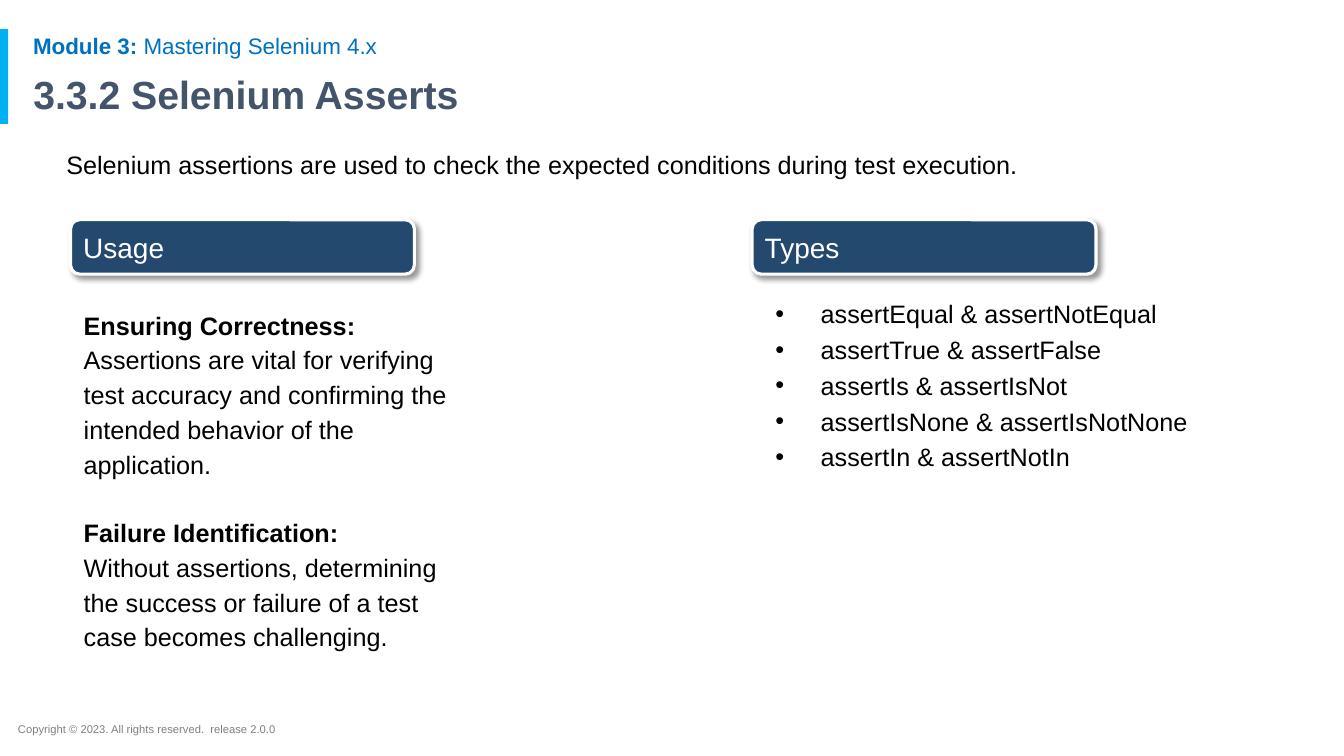
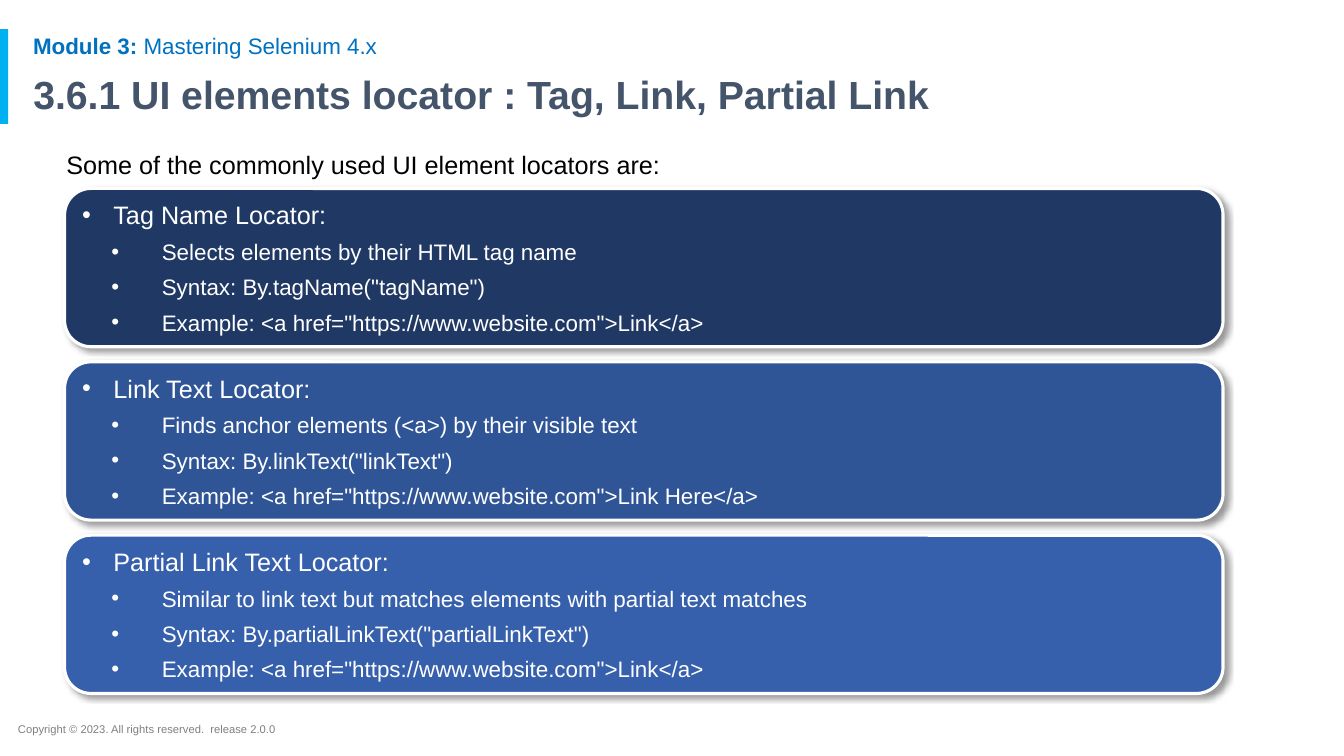
from dataclasses import dataclass

from lxml.etree import SubElement
from pptx import Presentation
from pptx.dml.color import RGBColor
from pptx.enum.shapes import MSO_SHAPE
from pptx.enum.text import MSO_ANCHOR, MSO_AUTO_SIZE, PP_ALIGN
from pptx.oxml.ns import qn
from pptx.util import Emu, Pt

EMU_PER_PX = 9144


@dataclass(frozen=True)
class Theme:
    font: str = "Arial"
    accent: str = "00B0F0"
    module: str = "0070C0"
    title: str = "44546A"
    body: str = "000000"
    footer: str = "808080"
    light: str = "FFFFFF"
    heading: str = "23496F"
    cards: tuple = ("203864", "2F5597", "3660AC")
    title_size: int = 28
    heading_size: int = 20
    body_size: int = 18
    detail_size: int = 16
    footer_size: int = 8


THEME = Theme()

USAGE = [
    ("Ensuring Correctness:",
     "Assertions are vital for verifying test accuracy and confirming the "
     "intended behavior of the application."),
    ("Failure Identification:",
     "Without assertions, determining the success or failure of a test case "
     "becomes challenging."),
]
ASSERT_TYPES = [
    "assertEqual & assertNotEqual",
    "assertTrue & assertFalse",
    "assertIs & assertIsNot",
    "assertIsNone & assertIsNotNone",
    "assertIn & assertNotIn",
]
LOCATORS = [
    ("Tag Name Locator:", [
        "Selects elements by their HTML tag name",
        'Syntax: By.tagName("tagName")',
        'Example: <a href="https://www.website.com">Link</a>',
    ]),
    ("Link Text Locator:", [
        "Finds anchor elements (<a>) by their visible text",
        'Syntax: By.linkText("linkText")',
        'Example: <a href="https://www.website.com">Link Here</a>',
    ]),
    ("Partial Link Text Locator:", [
        "Similar to link text but matches elements with partial text matches",
        'Syntax: By.partialLinkText("partialLinkText")',
        'Example: <a href="https://www.website.com">Link</a>',
    ]),
]


def px(length):
    return Emu(length * EMU_PER_PX)


def add_span(para, text, size, color, bold=False):
    span = para.add_run()
    span.text = text
    span.font.name = THEME.font
    span.font.size = Pt(size)
    span.font.bold = bold
    span.font.color.rgb = RGBColor.from_string(color)


def add_para(frame, line=1.0, after=0):
    """Return the frame's unused first paragraph, or a new one."""
    para = frame.add_paragraph() if frame.text else frame.paragraphs[0]
    para.alignment = PP_ALIGN.LEFT
    para.line_spacing = line
    para.space_before = Pt(0)
    para.space_after = Pt(after)
    return para


def set_bullet(para, margin, hang):
    props = para._p.get_or_add_pPr()
    props.set("marL", str(px(margin)))
    props.set("indent", str(-px(hang)))
    SubElement(props, qn("a:buFont"), typeface=THEME.font)
    SubElement(props, qn("a:buChar"), char="•")


def add_textbox(page, left, top, width, height, inset=None,
                anchor=MSO_ANCHOR.TOP):
    box = page.shapes.add_textbox(px(left), px(top), px(width), px(height))
    frame = box.text_frame
    frame.word_wrap = True
    frame.vertical_anchor = anchor
    if inset is not None:
        frame.margin_left = frame.margin_right = px(inset)
        frame.margin_top = frame.margin_bottom = px(inset)
    return box


def add_block(page, preset, left, top, width, height, fill):
    block = page.shapes.add_shape(
        preset, px(left), px(top), px(width), px(height))
    block.shadow.inherit = False
    block.fill.solid()
    block.fill.fore_color.rgb = RGBColor.from_string(fill)
    block.line.fill.background()
    return block


def add_panel(page, left, top, width, height, fill):
    """Add a rounded block with a white outline and a soft shadow."""
    panel = add_block(page, MSO_SHAPE.ROUNDED_RECTANGLE,
                      left, top, width, height, fill)
    panel.line.color.rgb = RGBColor.from_string(THEME.light)
    panel.line.width = Pt(2.25)
    effects = panel.element.spPr.find(qn("a:effectLst"))
    shadow = SubElement(
        effects, qn("a:outerShdw"), blurRad=str(Pt(4)), dist=str(Pt(3)),
        dir=str(45 * 60000), algn="tl", rotWithShape="0")
    color = SubElement(shadow, qn("a:srgbClr"), val="000000")
    SubElement(color, qn("a:alpha"), val="40000")
    panel.text_frame.word_wrap = True
    panel.text_frame.vertical_anchor = MSO_ANCHOR.MIDDLE
    return panel


def add_heading(page, left, text):
    heading = add_panel(page, left, 218, 341, 54, THEME.heading)
    add_span(add_para(heading.text_frame), text,
             THEME.heading_size, THEME.light)


def add_locator_card(page, top, fill, name, details):
    frame = add_panel(page, 64, top, 1149, 157, fill).text_frame
    para = add_para(frame, after=6)
    set_bullet(para, 31, 31)
    add_span(para, name, THEME.body_size, THEME.light)
    for detail in details:
        para = add_para(frame, after=6)
        set_bullet(para, 79, 50)
        add_span(para, detail, THEME.detail_size, THEME.light)


def furnish_layout(layout, page):
    """Build the shared band, module line and footer, and move them to the layout."""
    for holder in list(layout.placeholders):
        if holder.placeholder_format.idx != 0:
            holder.element.getparent().remove(holder.element)
    band = add_block(page, MSO_SHAPE.RECTANGLE, 0, 29, 8, 94, THEME.accent)
    module = add_textbox(page, 23, 30, 1150, 33, anchor=MSO_ANCHOR.MIDDLE)
    para = add_para(module.text_frame, line=0.9)
    add_span(para, "Module 3: ", THEME.detail_size, THEME.module, bold=True)
    add_span(para, "Mastering Selenium 4.x", THEME.detail_size, THEME.module)
    footer = add_textbox(page, 8, 712, 713, 24)
    add_span(add_para(footer.text_frame),
             "Copyright © 2023. All rights reserved.  release 2.0.0",
             THEME.footer_size, THEME.footer)
    for shape in (band, module, footer):
        layout.shapes.element.append(shape.element)


def add_page(deck, layout, title, intro):
    page = deck.slides.add_slide(layout)
    holder = page.shapes.title
    holder.left, holder.top = px(23), px(69)
    holder.width, holder.height = px(1273), px(54)
    frame = holder.text_frame
    frame.auto_size = MSO_AUTO_SIZE.NONE
    frame.vertical_anchor = MSO_ANCHOR.MIDDLE
    add_span(add_para(frame, line=0.9), title,
             THEME.title_size, THEME.title, bold=True)
    box = add_textbox(page, 56, 143, 1124, 40)
    add_span(add_para(box.text_frame), intro, THEME.body_size, THEME.body)
    return page


def fill_asserts_page(page):
    usage = add_textbox(page, 70, 290, 388, 375, inset=13).text_frame
    for name, description in USAGE:
        add_span(add_para(usage, line=1.15), name,
                 THEME.body_size, THEME.body, bold=True)
        add_span(add_para(usage, line=1.15, after=24), description,
                 THEME.body_size, THEME.body)
    types = add_textbox(page, 752, 283, 456, 198, inset=13).text_frame
    for pair in ASSERT_TYPES:
        para = add_para(types, after=4)
        set_bullet(para, 49, 45)
        add_span(para, pair, THEME.body_size, THEME.body)
    add_heading(page, 70, "Usage")
    add_heading(page, 746, "Types")


def fill_locators_page(page):
    for row, (fill, locator) in enumerate(zip(THEME.cards, LOCATORS)):
        add_locator_card(page, 187 + 172 * row, fill, *locator)


def main():
    deck = Presentation()
    deck.slide_width, deck.slide_height = px(1333), px(750)
    layout = deck.slide_layouts.get_by_name("Title Only")
    asserts = add_page(
        deck, layout, "3.3.2 Selenium Asserts",
        "Selenium assertions are used to check the expected conditions "
        "during test execution.")
    furnish_layout(layout, asserts)
    fill_asserts_page(asserts)
    locators = add_page(
        deck, layout, "3.6.1 UI elements locator : Tag, Link, Partial Link",
        "Some of the commonly used UI element locators are:")
    fill_locators_page(locators)
    deck.save("out.pptx")


if __name__ == "__main__":
    main()
